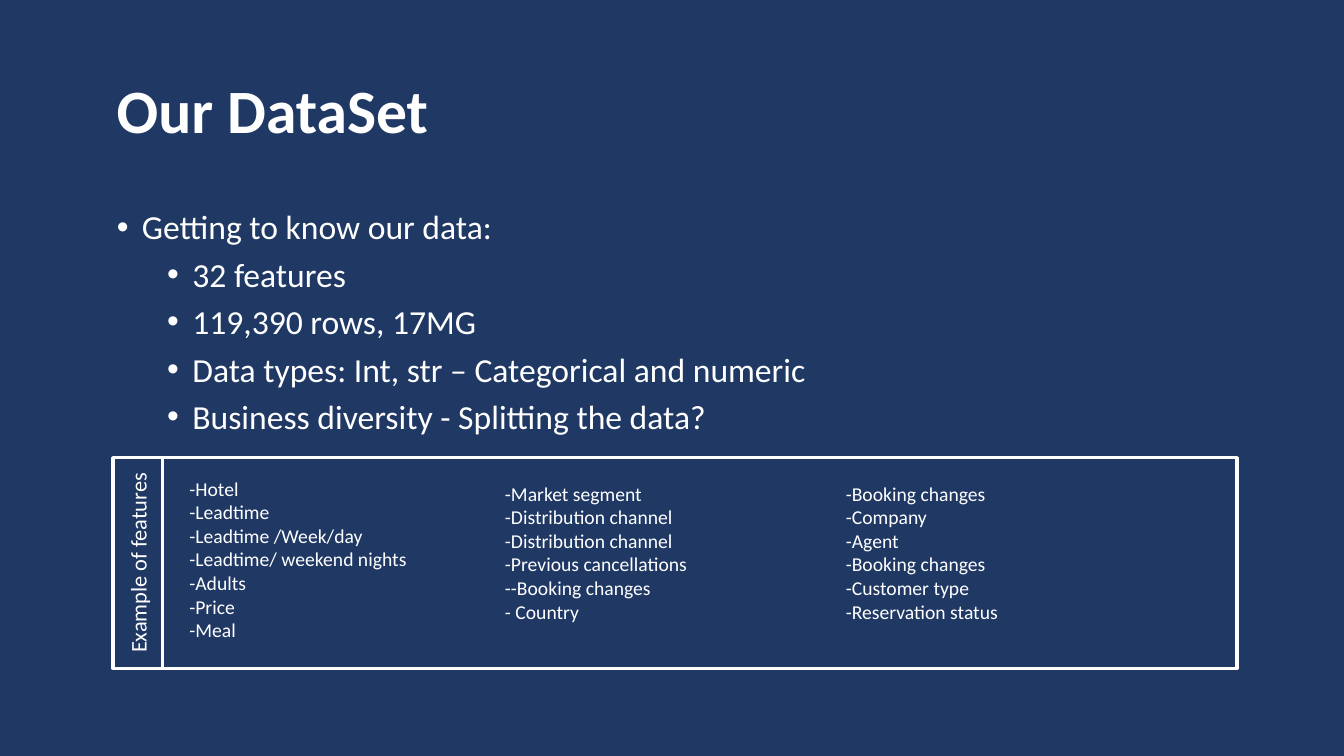
from pptx import Presentation, util as u
from pptx.dml.color import RGBColor
from pptx.enum import shapes, text
from pptx.oxml import parse_xml
from pptx.oxml.ns import nsdecls

NAVY = RGBColor(0x20, 0x38, 0x64)
WHITE = RGBColor(0xFF, 0xFF, 0xFF)
FONT = "Calibri"
WIDE, HIGH = 13.33, 7.5
LEFT = 1.06
LIST_TOP = 4.73

POINTS = [
    "32 features",
    "119,390 rows, 17MG",
    "Data types: Int, str – Categorical and numeric",
    "Business diversity - Splitting the data?",
]
# left, width, top inset, lines
LISTS = [
    (1.78, 3.1, 0, ["-Hotel", "-Leadtime", "-Leadtime /Week/day",
                    "-Leadtime/ weekend nights", "-Adults", "-Price", "-Meal"]),
    (4.91, 3.31, 0.05, ["-Market segment", "-Distribution channel",
                        "-Distribution channel", "-Previous cancellations",
                        "--Booking changes", "- Country"]),
    (8.29, 3.31, 0.05, ["-Booking changes", "-Company", "-Agent",
                        "-Booking changes", "-Customer type",
                        "-Reservation status"]),
]


def write(para, words, size, bold=False, align=text.PP_ALIGN.LEFT, lead=1.0, gap=0):
    para.alignment = align
    para.line_spacing = lead
    para.space_before = u.Pt(gap)
    run = para.add_run()
    run.text = words
    font = run.font
    font.name, font.size, font.bold = FONT, u.Pt(size), bold
    font.color.rgb = WHITE


def add_box(slide, left, top, width, height, inset=0.05):
    """Add an empty wrapping text box and return its text frame."""
    box = slide.shapes.add_textbox(*map(u.Inches, (left, top, width, height)))
    frame = box.text_frame
    frame.word_wrap = True
    frame.margin_top = u.Inches(inset)
    return frame


def lines(frame, count):
    """Give the frame the wanted number of paragraphs."""
    return [frame.paragraphs[0]] + [frame.add_paragraph() for _ in range(count - 1)]


def bullet(para, level):
    para.level = level
    props = para._p.get_or_add_pPr()
    props.set("marL", str(u.Inches(0.25 + 0.5 * level)))
    props.set("indent", str(u.Inches(-0.25)))
    props.append(parse_xml(f'<a:buFont {nsdecls("a")} typeface="Arial"/>'))
    props.append(parse_xml(f'<a:buChar {nsdecls("a")} char="•"/>'))


def add_frame(slide, left, top, width, height, turn=0):
    """Add an outlined, unfilled rectangle."""
    rect = slide.shapes.add_shape(
        shapes.MSO_SHAPE.RECTANGLE, *map(u.Inches, (left, top, width, height)))
    rect.rotation = turn
    rect.shadow.inherit = False
    rect.fill.background()
    rect.line.color.rgb = WHITE
    rect.line.width = u.Pt(2.25)
    return rect


def add_title(slide):
    frame = add_box(slide, LEFT, 0.4, 11.36, 1.45)
    frame.vertical_anchor = text.MSO_ANCHOR.MIDDLE
    write(frame.paragraphs[0], "Our DataSet", 44, bold=True, lead=0.9)


def add_points(slide):
    frame = add_box(slide, LEFT, 2.04, 11.11, 2.4)
    head, *subs = lines(frame, len(POINTS) + 1)
    write(head, "Getting to know our data:", 24, lead=0.9, gap=10)
    bullet(head, 0)
    for para, words in zip(subs, POINTS):
        write(para, words, 24, gap=5)
        bullet(para, 1)


def add_lists(slide):
    for left, width, inset, items in LISTS:
        frame = add_box(slide, left, LIST_TOP, width, 1.75, inset)
        for para, words in zip(lines(frame, len(items)), items):
            write(para, words, 14)


def add_panel(slide):
    label = add_frame(slide, 0.32, 5.34, 2.09, 0.49, turn=270)
    frame = label.text_frame
    frame.word_wrap = True
    frame.vertical_anchor = text.MSO_ANCHOR.MIDDLE
    write(frame.paragraphs[0], "Example of features", 16,
          align=text.PP_ALIGN.CENTER)
    add_frame(slide, 1.61, 4.54, 10.66, 2.09)


def main():
    deck = Presentation()
    deck.slide_width, deck.slide_height = u.Inches(WIDE), u.Inches(HIGH)
    slide = deck.slides.add_slide(deck.slide_layouts[6])
    fill = slide.background.fill
    fill.solid()
    fill.fore_color.rgb = NAVY
    add_title(slide)
    add_points(slide)
    add_lists(slide)
    add_panel(slide)
    deck.save("out.pptx")


if __name__ == "__main__":
    main()
